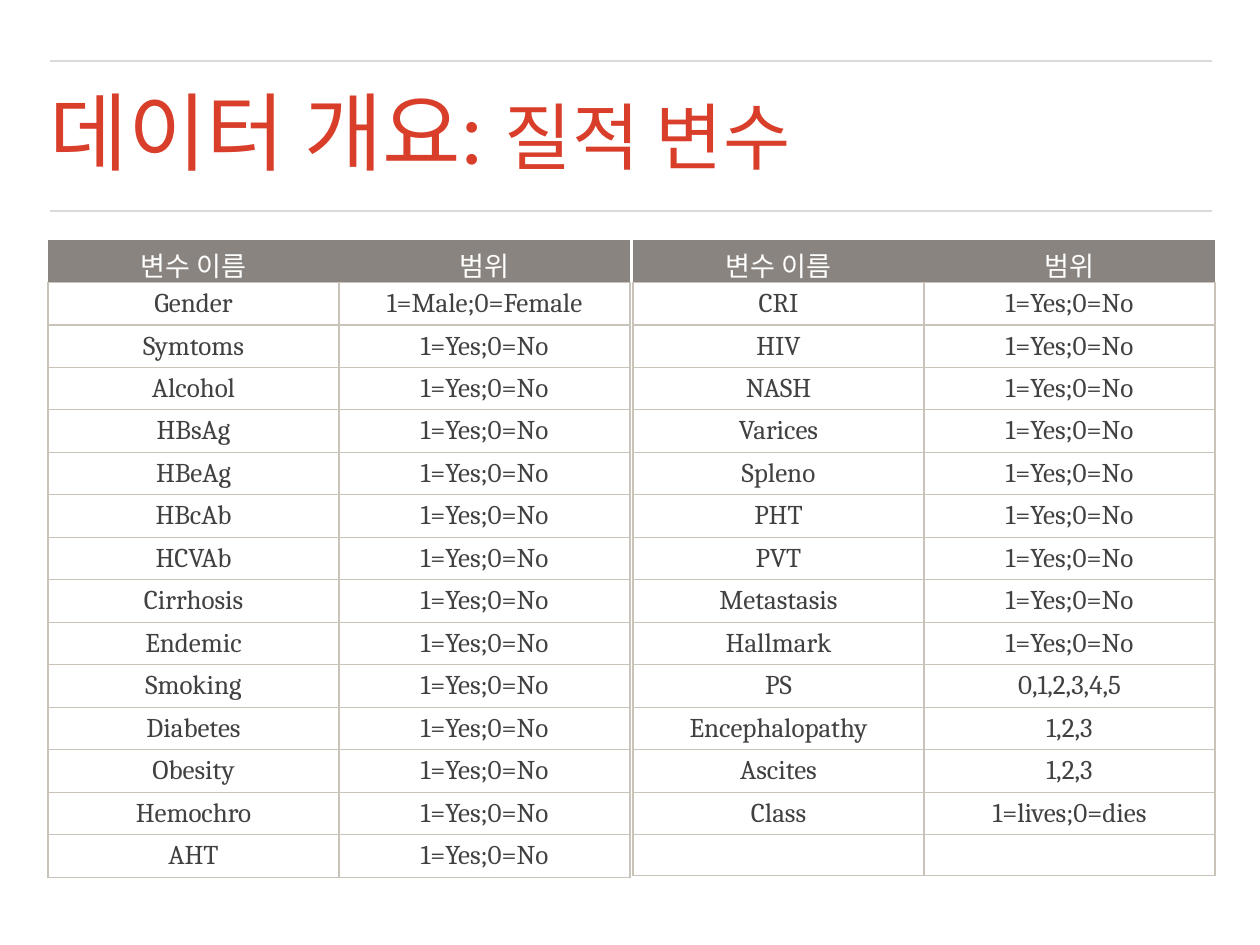
import pptx
import pptx.util
import pptx.dml.color
import pptx.enum.shapes
import pptx.enum.text
import pptx.oxml
import pptx.oxml.ns

PX = 10320  # EMU in one px
RGB = pptx.dml.color.RGBColor
RED = RGB(0xD9, 0x3E, 0x2B)
DARK = RGB(0x44, 0x44, 0x44)
INK = RGB(0x41, 0x41, 0x41)
HEAD = RGB(0x89, 0x84, 0x7F)
EDGE = RGB(0xC9, 0xC3, 0xBA)
WHITE = RGB(0xFF, 0xFF, 0xFF)
NS = pptx.oxml.ns.nsdecls("a")
PLAIN = "{2D5ABB26-0587-4C30-8999-92F81FD0307C}"  # no style, no grid
MIDDLE = pptx.enum.text.MSO_ANCHOR.MIDDLE


class Deck:
    font = "Cambria"
    size = 22
    pad = 5 * PX

    def __init__(self, wide, high):
        self.prs = pptx.Presentation()
        self.prs.slide_width = wide * PX
        self.prs.slide_height = high * PX
        self.slide = self.prs.slides.add_slide(self.prs.slide_layouts[6])

    def run(self, para, text, color, size=size, font=font):
        run = para.add_run()
        run.text = text
        run.font.size = pptx.util.Pt(size)
        run.font.name = font
        run.font.color.rgb = color

    def rule(self, left, right, y):
        line = self.slide.shapes.add_connector(
            pptx.enum.shapes.MSO_CONNECTOR.STRAIGHT,
            left * PX, y * PX, right * PX, y * PX)
        line.line.width = pptx.util.Pt(1)
        line.line.color.rgb = DARK
        props = line._element.spPr
        tint = next(props.iter(pptx.oxml.ns.qn("a:srgbClr")))
        tint.append(pptx.oxml.parse_xml(f'<a:alpha {NS} val="30000"/>'))
        props.append(pptx.oxml.parse_xml(f"<a:effectLst {NS}/>"))

    def title(self, left, top, wide, high, runs):
        box = self.slide.shapes.add_textbox(
            left * PX, top * PX, wide * PX, high * PX)
        frame = box.text_frame
        frame.word_wrap = True
        frame.vertical_anchor = MIDDLE
        frame.margin_left = frame.margin_right = 0
        frame.margin_top = frame.margin_bottom = 0
        para = frame.paragraphs[0]
        para.line_spacing = 0.9
        para.space_before = pptx.util.Pt(15)
        for text, size, font in runs:
            self.run(para, text, RED, size, font)

    def edge(self, cell):
        props = cell._tc.get_or_add_tcPr()
        for side in "LRTB":
            props.append(pptx.oxml.parse_xml(
                f'<a:ln{side} {NS} w="12700"><a:solidFill>'
                f'<a:srgbClr val="{EDGE}"/></a:solidFill></a:ln{side}>'))

    def cell(self, cell, text, top):
        cell.margin_left = cell.margin_right = self.pad
        cell.margin_top = cell.margin_bottom = self.pad
        cell.vertical_anchor = MIDDLE
        if top:
            cell.fill.solid()
            cell.fill.fore_color.rgb = HEAD
        else:
            self.edge(cell)
            cell.fill.background()
        if text:
            para = cell.text_frame.paragraphs[0]
            para.alignment = pptx.enum.text.PP_ALIGN.CENTER
            self.run(para, text, WHITE if top else INK)

    def table(self, left, top, wide, high, rows):
        count = len(rows[0])
        table = self.slide.shapes.add_table(
            len(rows), count, left * PX, top * PX,
            count * wide * PX, len(rows) * high * PX).table
        table._tbl.tblPr[0].text = PLAIN
        table.horz_banding = False
        for col in table.columns:
            col.width = wide * PX
        for r, row in enumerate(rows):
            table.rows[r].height = high * PX
            for c, text in enumerate(row):
                self.cell(table.cell(r, c), text, r == 0)


# Variables and their ranges; most are yes or no
LEFT = ["Gender", "Symtoms", "Alcohol", "HBsAg", "HBeAg", "HBcAb", "HCVAb",
        "Cirrhosis", "Endemic", "Smoking", "Diabetes", "Obesity",
        "Hemochro", "AHT"]
RIGHT = ["CRI", "HIV", "NASH", "Varices", "Spleno", "PHT", "PVT",
         "Metastasis", "Hallmark", "PS", "Encephalopathy", "Ascites",
         "Class", ""]
RANGE = {"Gender": "1=Male;0=Female", "PS": "0,1,2,3,4,5",
         "Encephalopathy": "1,2,3", "Ascites": "1,2,3",
         "Class": "1=lives;0=dies", "": ""}


def main():
    deck = Deck(1260, 945)

    # Title between two rules
    for y in (211, 61):
        deck.rule(50, 1212, y)
    deck.title(50, 78, 1162, 118, [("데이터 개요: ", 69.3, "Lato"),
                                   ("질적 변수", 59.4, "Calibri")])

    # Two tables side by side
    for left, names in ((48, LEFT), (633, RIGHT)):
        rows = [("변수 이름", "범위")]
        rows += [(name, RANGE.get(name, "1=Yes;0=No")) for name in names]
        deck.table(left, 240, 291, 41, rows)

    deck.prs.save("out.pptx")


if __name__ == "__main__":
    main()
